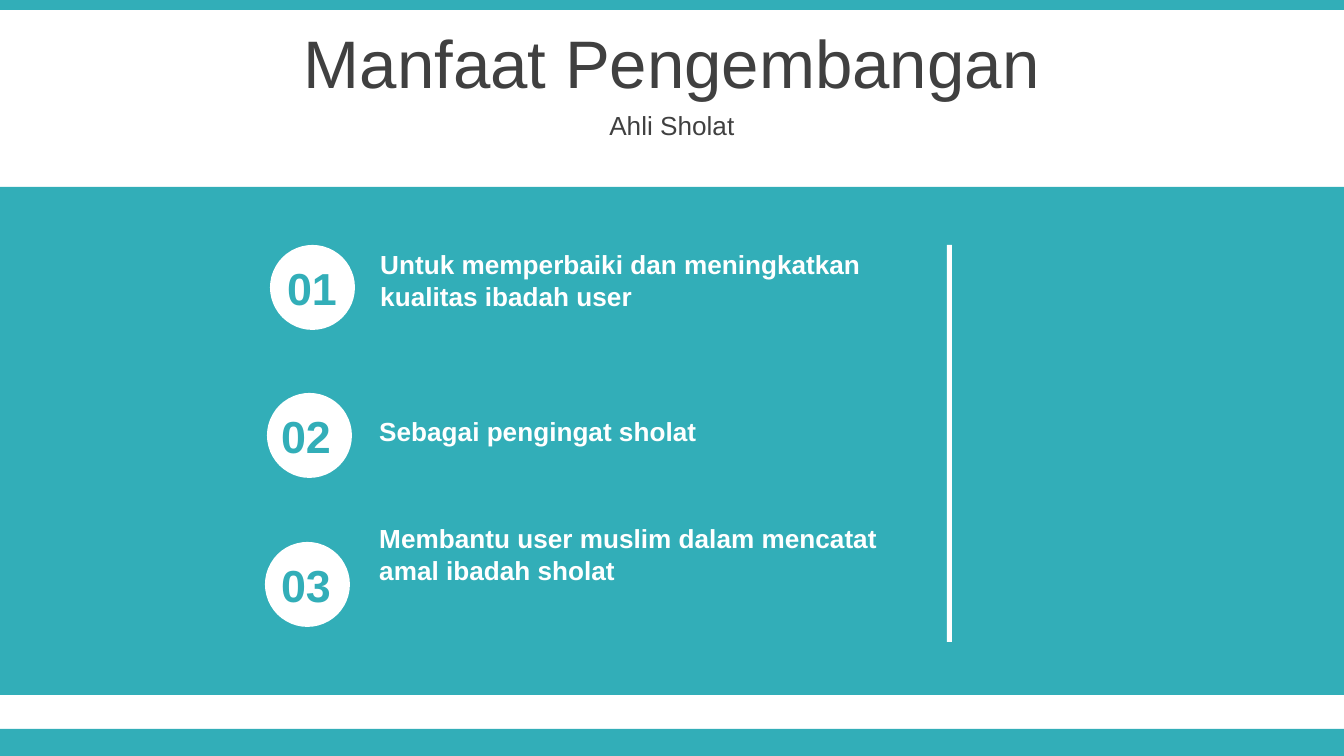
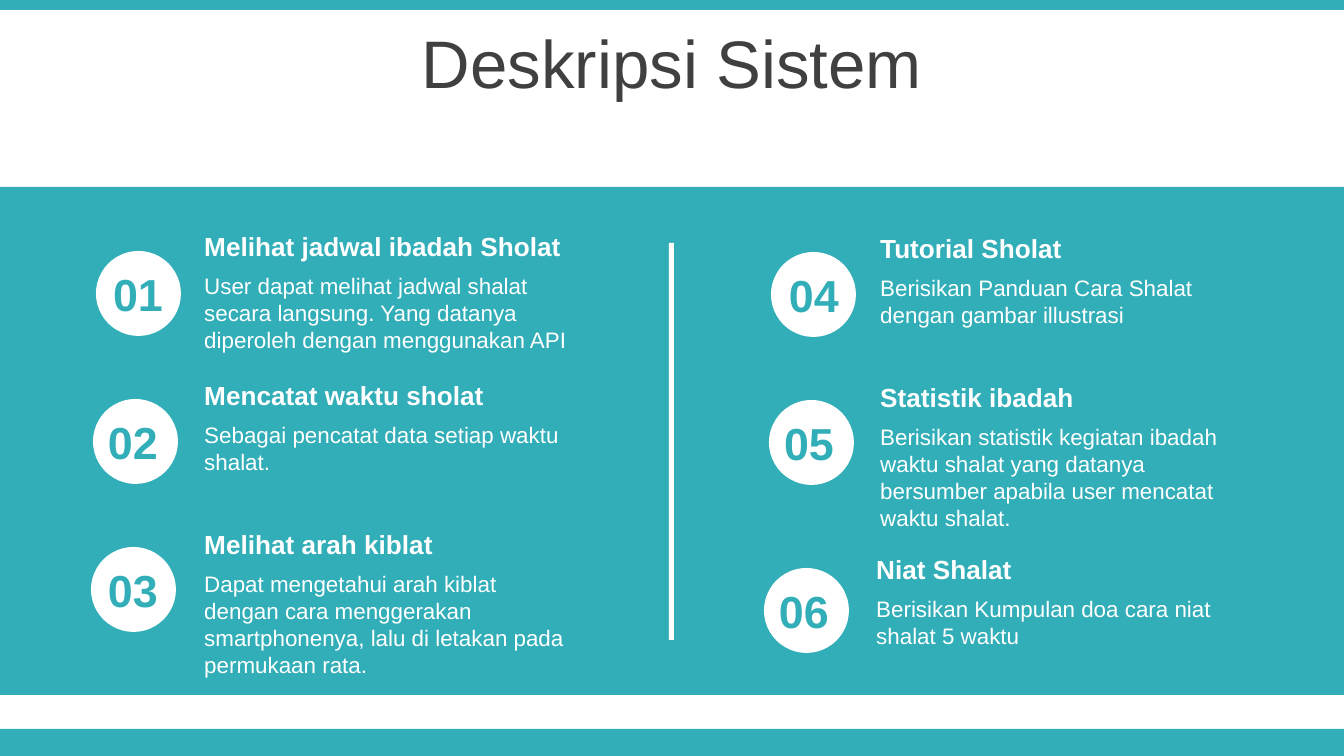
from pptx import Presentation
from pptx.dml.color import RGBColor
from pptx.enum.shapes import MSO_SHAPE
from pptx.enum.text import MSO_ANCHOR, MSO_AUTO_SIZE, PP_ALIGN
from pptx.util import Emu, Pt

SCALE = 914400 / 134.4
WIDTH, HEIGHT = 1344, 756
TEAL, WHITE, GREY = "32AEB8", "FFFFFF", "404040"
CIRCLE = 85

STYLES = {
    "title": {"size": 36, "bold": False, "color": GREY, "align": PP_ALIGN.CENTER, "anchor": MSO_ANCHOR.MIDDLE},
    "subtitle": {"size": 14, "bold": False, "color": GREY, "align": PP_ALIGN.CENTER, "anchor": MSO_ANCHOR.MIDDLE},
    "number": {"size": 24, "bold": True, "color": TEAL, "align": PP_ALIGN.CENTER, "anchor": MSO_ANCHOR.TOP},
    "heading": {"size": 14, "bold": True, "color": WHITE, "align": PP_ALIGN.LEFT, "anchor": MSO_ANCHOR.TOP},
    "detail": {"size": 12, "bold": False, "color": WHITE, "align": PP_ALIGN.LEFT, "anchor": MSO_ANCHOR.TOP},
}

BANDS = [(729, 27), (0, 10), (187, 508)]

PAGES = [
    {
        "title": "Manfaat Pengembangan",
        "subtitle": "Ahli Sholat",
        "divider": (947, 245),
        "text_width": 573,
        "items": [
            (270, 245, 265, 367, 242, 109, "Untuk memperbaiki dan meningkatkan kualitas ibadah user", "", 0),
            (267, 393, 259, 366, 409, 46, "Sebagai pengingat sholat", "", 0),
            (265, 542, 259, 366, 516, 109, "Membantu user muslim dalam mencatat amal ibadah sholat", "", 0),
        ],
    },
    {
        "title": "Deskripsi Sistem",
        "subtitle": "",
        "divider": (669, 243),
        "text_width": 391,
        "items": [
            (96, 251, 91, 191, 224, 46, "Melihat jadwal ibadah Sholat",
             "User dapat melihat jadwal shalat secara langsung. Yang datanya diperoleh dengan menggunakan API", 95),
            (93, 399, 86, 191, 373, 46, "Mencatat waktu sholat",
             "Sebagai pencatat data setiap waktu shalat.", 67),
            (91, 547, 86, 191, 522, 46, "Melihat arah kiblat",
             "Dapat mengetahui arah kiblat dengan cara menggerakan smartphonenya, lalu di letakan pada permukaan rata.", 122),
            (771, 252, 767, 867, 226, 46, "Tutorial Sholat",
             "Berisikan Panduan Cara Shalat dengan gambar illustrasi", 67),
            (769, 400, 762, 867, 375, 46, "Statistik ibadah",
             "Berisikan statistik kegiatan ibadah waktu shalat yang datanya bersumber apabila user mencatat waktu shalat.", 122),
            (764, 568, 757, 863, 547, 46, "Niat Shalat",
             "Berisikan Kumpulan doa cara niat shalat 5 waktu", 67),
        ],
    },
]


def add_block(page, kind, color, *place):
    shape = page.shapes.add_shape(kind, *[Emu(round(length * SCALE)) for length in place])
    shape.shadow.inherit = False
    shape.fill.solid()
    shape.fill.fore_color.rgb = RGBColor.from_string(color)
    shape.line.fill.background()


def add_text(page, style_name, text, *place):
    style = STYLES[style_name]
    box = page.shapes.add_textbox(*[Emu(round(length * SCALE)) for length in place])
    frame = box.text_frame
    frame_format = {
        "word_wrap": True,
        "auto_size": MSO_AUTO_SIZE.NONE if style["color"] == GREY else MSO_AUTO_SIZE.SHAPE_TO_FIT_TEXT,
        "vertical_anchor": style["anchor"],
    }
    for name, value in frame_format.items():
        setattr(frame, name, value)
    para = frame.paragraphs[0]
    para.alignment = style["align"]
    span = para.add_run()
    span.text = text
    for name, value in {"name": "Arial", "size": Pt(style["size"]), "bold": style["bold"]}.items():
        setattr(span.font, name, value)
    span.font.color.rgb = RGBColor.from_string(style["color"])


deck = Presentation()
deck.slide_width = Emu(round(WIDTH * SCALE))
deck.slide_height = Emu(round(HEIGHT * SCALE))

for content in PAGES:
    page = deck.slides.add_slide(deck.slide_layouts[6])
    for top, height in BANDS:
        add_block(page, MSO_SHAPE.RECTANGLE, TEAL, 0, top, WIDTH, height)
    add_text(page, "title", content["title"], 0, 19, WIDTH, 85)
    if content["subtitle"]:
        add_text(page, "subtitle", content["subtitle"], 0, 104, WIDTH, 42)
    add_block(page, MSO_SHAPE.RECTANGLE, WHITE, *content["divider"], 5, 397)

    for index, item in enumerate(content["items"], 1):
        left, top, number_left, text_left, text_top, text_height, heading, detail, detail_height = item
        add_block(page, MSO_SHAPE.OVAL, WHITE, left, top, CIRCLE, CIRCLE)
        add_text(page, "number", f"{index:02}", number_left, top + 9, 94, 67)
        add_text(page, "heading", heading, text_left, text_top, content["text_width"], text_height)
        if detail:
            add_text(page, "detail", detail, text_left, text_top + 42, content["text_width"], detail_height)

deck.save("out.pptx")
